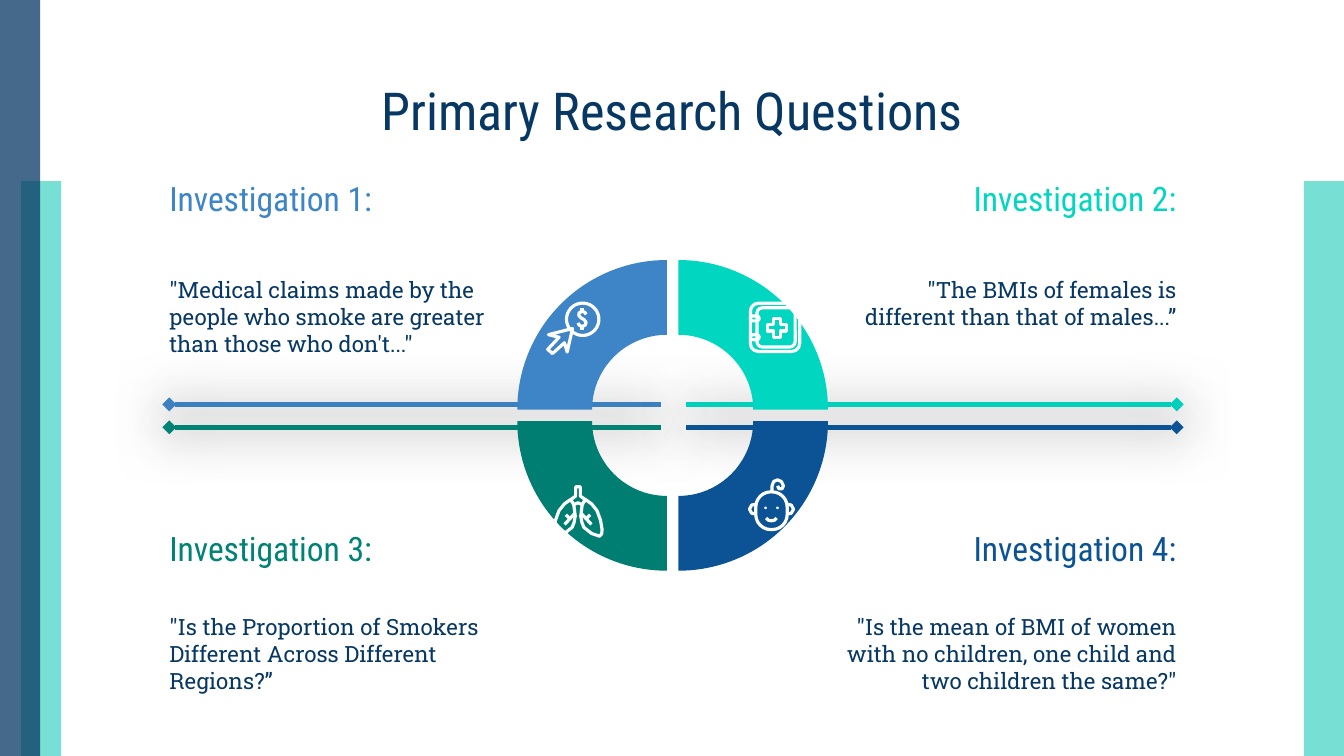
from dataclasses import dataclass
from math import cos, pi, sin
from lxml import etree
from pptx import Presentation
from pptx import util as u
from pptx.chart import data as cd
from pptx.dml import color as col
from pptx.enum import chart as ch, shapes as sh, text as tx
from pptx.oxml import ns

Pt = u.Pt
BOX = sh.MSO_SHAPE.RECTANGLE
ROUND = sh.MSO_SHAPE.ROUNDED_RECTANGLE
OVAL = sh.MSO_SHAPE.OVAL
CROSS = sh.MSO_SHAPE.CROSS
LEFT, MID, RIGHT = tx.PP_ALIGN.LEFT, tx.PP_ALIGN.CENTER, tx.PP_ALIGN.RIGHT
TOP, CENTER, BASE = (tx.MSO_ANCHOR.TOP, tx.MSO_ANCHOR.MIDDLE,
                     tx.MSO_ANCHOR.BOTTOM)


@dataclass(frozen=True)
class Theme:
    navy: str = "073763"
    mint: str = "00C3B1"
    blue: str = "3D85C6"
    aqua: str = "00D6C0"
    green: str = "008275"
    pine: str = "007E72"
    deep: str = "0B5394"
    white: str = "FFFFFF"
    black: str = "000000"
    head: str = "Roboto Condensed"
    body: str = "Roboto Slab"
    plain: str = "Arial"
    title: float = 28
    label: float = 18
    copy: float = 12
    tiny: float = 10
    rule: float = 2.5
    pen: float = 1.7


def rgb(hue):
    return col.RGBColor.from_string(hue)


def add(node, tag, **attrs):
    return etree.SubElement(node, ns.qn(tag), attrs)


class Deck:
    """Holds the theme and the current slide and draws each kind of element."""

    def __init__(self, theme):
        self.theme = theme
        self.file = Presentation()
        self.file.slide_width, self.file.slide_height = Pt(720), Pt(405)
        self.slide = self.file.slides.add_slide(self.file.slide_layouts[6])
        self.shapes = self.slide.shapes

    def bar(self, x, y, w, h, hue, alpha):
        item = self.shapes.add_shape(BOX, Pt(x), Pt(y), Pt(w), Pt(h))
        item.shadow.inherit = False
        item.line.fill.background()
        item.fill.solid()
        item.fill.fore_color.rgb = rgb(hue)
        tint = item.fill._xPr.find(".//" + ns.qn("a:srgbClr"))
        add(tint, "a:alpha", val=str(alpha * 1000))

    def text(self, words, x, y, w, h, font, size, hue, align, anchor):
        frame = self.shapes.add_textbox(Pt(x), Pt(y), Pt(w), Pt(h)).text_frame
        frame.word_wrap = True
        frame.vertical_anchor = anchor
        frame.margin_left = frame.margin_right = frame.margin_bottom = 0
        frame.margin_top = Pt(0.72)
        frame.text = words
        para = frame.paragraphs[0]
        para.alignment = align
        face = para.runs[0].font
        face.name, face.size, face.color.rgb = font, Pt(size), rgb(hue)

    def rule(self, start, end, y, hue):
        item = self.shapes.add_connector(
            sh.MSO_CONNECTOR.STRAIGHT, Pt(start), Pt(y), Pt(end), Pt(y))
        item.line.width = Pt(self.theme.rule)
        item.line.color.rgb = rgb(hue)
        add(item.line._get_or_add_ln(), "a:tailEnd", type="diamond")
        glow = add(add(item._element.spPr, "a:effectLst"), "a:outerShdw",
                   blurRad=str(Pt(28.1)), dist=str(Pt(1.5)), dir="5400000",
                   algn="bl", rotWithShape="0")
        shade = add(glow, "a:srgbClr", val=self.theme.black)
        add(shade, "a:alpha", val="73000")

    def ring(self, x, y, w, h, values, hues):
        data = cd.CategoryChartData()
        data.categories = [str(n + 1) for n in range(len(values))]
        data.add_series("Series 1", values)
        chart = self.shapes.add_chart(
            ch.XL_CHART_TYPE.DOUGHNUT, Pt(x), Pt(y), Pt(w), Pt(h), data).chart
        chart.has_legend = chart.has_title = False
        chart.font.size, chart.font.name = Pt(self.theme.tiny), self.theme.plain
        chart.font.color.rgb = rgb(self.theme.black)
        root = chart._chartSpace
        blank = etree.Element(ns.qn("c:spPr"))
        add(blank, "a:noFill")
        add(add(blank, "a:ln"), "a:noFill")
        root.find(ns.qn("c:txPr")).addprevious(blank)
        area = root.find(".//" + ns.qn("c:plotArea"))
        for old in area.findall(ns.qn("c:layout")):
            area.remove(old)
        layout = etree.Element(ns.qn("c:layout"))
        area.insert(0, layout)
        place = add(layout, "c:manualLayout")
        add(place, "c:layoutTarget", val="inner")
        for key in "xy":
            add(place, f"c:{key}Mode", val="edge")
        wide, tall = 0.54, 0.85
        for key, part in zip("xywh", ((1 - wide) / 2, (1 - tall) / 2, wide, tall)):
            add(place, f"c:{key}", val=f"{part:.3f}")
        plot = chart.plots[0]
        plot.vary_by_categories = False
        series = plot.series[0]
        for n, hue in enumerate(hues):
            look = series.points[n].format
            look.fill.solid()
            look.fill.fore_color.rgb = rgb(hue)
            look.line.fill.background()
        for point in series._element.findall(ns.qn("c:dPt")):
            gap = etree.Element(ns.qn("c:explosion"), val="11")
            point.find(ns.qn("c:spPr")).addprevious(gap)

    def ink(self, item, solid=False):
        item.shadow.inherit = False
        if solid:
            item.fill.solid()
            item.fill.fore_color.rgb = rgb(self.theme.white)
            item.line.fill.background()
        else:
            item.fill.background()
            item.line.color.rgb = rgb(self.theme.white)
            item.line.width = Pt(self.theme.pen)
            add(item.line._get_or_add_ln(), "a:round")

    def icon(self, x, y, forms=(), paths=()):
        for kind, left, top, w, h, curve, solid in forms:
            item = self.shapes.add_shape(
                kind, Pt(x + left), Pt(y + top), Pt(w), Pt(h))
            if curve:
                item.adjustments[0] = curve
            self.ink(item, solid)
        pen = None
        for closed, dots in paths:
            spots = [(round((x + a) * 100), round((y + b) * 100)) for a, b in dots]
            if pen:
                pen.move_to(*spots[0])
            else:
                pen = self.shapes.build_freeform(*spots[0], scale=Pt(1) / 100)
            pen.add_line_segments(spots[1:], close=closed)
        if pen:
            self.ink(pen.convert_to_shape())


def twin(paths, width):
    """Return the paths together with their mirror images."""
    return paths + [(shut, [(width - a, b) for a, b in dots])
                    for shut, dots in paths]


def disc(x, y, r, steps=48):
    """Return the points of a circle."""
    turns = [2 * pi * n / steps for n in range(steps)]
    return [(x + r * cos(a), y + r * sin(a)) for a in turns]


def main():
    t = Theme()
    deck = Deck(t)
    deck.bar(11.3, 97, 21.5, 308, t.mint, 53)
    deck.bar(0, 0, 21.5, 405, t.navy, 75)
    deck.bar(698.5, 97, 21.5, 308, t.mint, 53)
    deck.text("Primary Research Questions", 57, 42.5, 606, 32,
              t.head, t.title, t.navy, MID, CENTER)

    near, far = 90.7, 630.4
    topics = [
        (0, 0, t.blue, "\"Medical claims made by the people who smoke are "
         "greater than those who don't...\""),
        (1, 0, t.aqua, "\"The BMIs of females is different than that of males...”"),
        (0, 1, t.green, "\"Is the Proportion of Smokers Different Across "
         "Different Regions?”"),
        (1, 1, t.deep, "\"Is the mean of BMI of women with no children, "
         "one child and two children the same?\""),
    ]
    for n, (side, row, hue, words) in enumerate(topics, 1):
        align = RIGHT if side else LEFT
        for say, y, w, h, font, size, tone, anchor in (
                (f"Investigation {n}:", 100.3 + 187.5 * row, 204.5, 16.5,
                 t.head, t.label, hue, BASE),
                (words, 147.3 + 180.6 * row, 179, 34.5,
                 t.body, t.copy, t.navy, TOP)):
            deck.text(say, far - w if side else near, y, w, h,
                      font, size, tone, align, anchor)
        deck.rule(367.6 if side else 354, far if side else near,
                  216.6 + 12.3 * row, hue)

    deck.ring(211.7, 128.3, 297.4, 188.6, [25] * 4,
              [t.aqua, t.deep, t.pine, t.blue])

    deck.icon(401, 161.5, [
        (ROUND, 1, 1, 26.4, 25.8, 0.16, False),
        (ROUND, 4.5, 3.4, 20.5, 21, 0.14, False),
        (ROUND, 1, 7.8, 4.7, 2.6, 0.5, False),
        (ROUND, 1, 17.9, 4.7, 2.6, 0.5, False),
        (CROSS, 10.1, 9, 10.2, 10.2, 0.33, False)])
    deck.icon(292, 161, paths=[
        (False, [(22, 7.5), (21.3, 6.3), (19.8, 5.9), (18.3, 6.6), (18.1, 8),
                 (19.2, 9.3), (20.8, 10.2), (22, 11.6), (21.6, 13.2),
                 (19.8, 14), (18.2, 13.2), (17.8, 12)]),
        (False, [(19.8, 4.1), (19.8, 5.9)]),
        (False, [(19.8, 14), (19.8, 16)])])
    deck.icon(292, 161, paths=[
        (True, disc(20.15, 10.05, 8.65)),
        (True, [(1.8, 18.3), (14.7, 15), (11.8, 27.6), (10.4, 22.6),
                (4, 28.4), (1.4, 26.2), (7.5, 19.7)])])
    ears = twin([(False, [(4.6, 14.2), (2.4, 14.6), (1.2, 16.8),
                          (2.4, 19), (4.6, 19.4)])], 26)
    deck.icon(400.3, 256, paths=[
        (False, [(10.2, 21.5), (11.4, 22.7), (13, 23), (14.6, 22.7), (15.8, 21.5)])])
    deck.icon(400.3, 256, [
        (ROUND, 4.6, 7.5, 16.8, 20.2, 0.48, False),
        (OVAL, 9.1, 15.4, 1.4, 1.4, None, True),
        (OVAL, 15.5, 15.4, 1.4, 1.4, None, True)], ears + [
        (False, [(13.3, 7.5), (13.3, 4.3), (14.2, 2), (16.2, 1.1), (18.3, 2),
                 (19.4, 4.3), (18.7, 5.9), (17, 5.9), (16.3, 4.3)])])
    lungs = twin([
        (True, [(9.3, 7.9), (6.4, 10), (3.5, 13.6), (1.6, 18.8), (0.8, 23.7),
                (1, 26), (2.2, 27.3), (6.4, 25.8), (10.5, 22.6), (11.6, 20),
                (12.2, 16.5), (11.5, 10.8), (10.6, 8.8)]),
        (False, [(6.5, 21), (12, 15)]),
        (False, [(7.2, 15.8), (9.2, 17.8)])], 27.4)
    deck.icon(296, 260, paths=lungs + [
        (False, [(9.3, 8), (12.4, 5.8), (12.4, 0.8), (15, 0.8), (15, 5.8),
                 (18.1, 8)]),
        (False, [(11.5, 10.3), (13.7, 9.4), (15.9, 10.3)])])
    deck.file.save("out.pptx")


if __name__ == "__main__":
    main()
